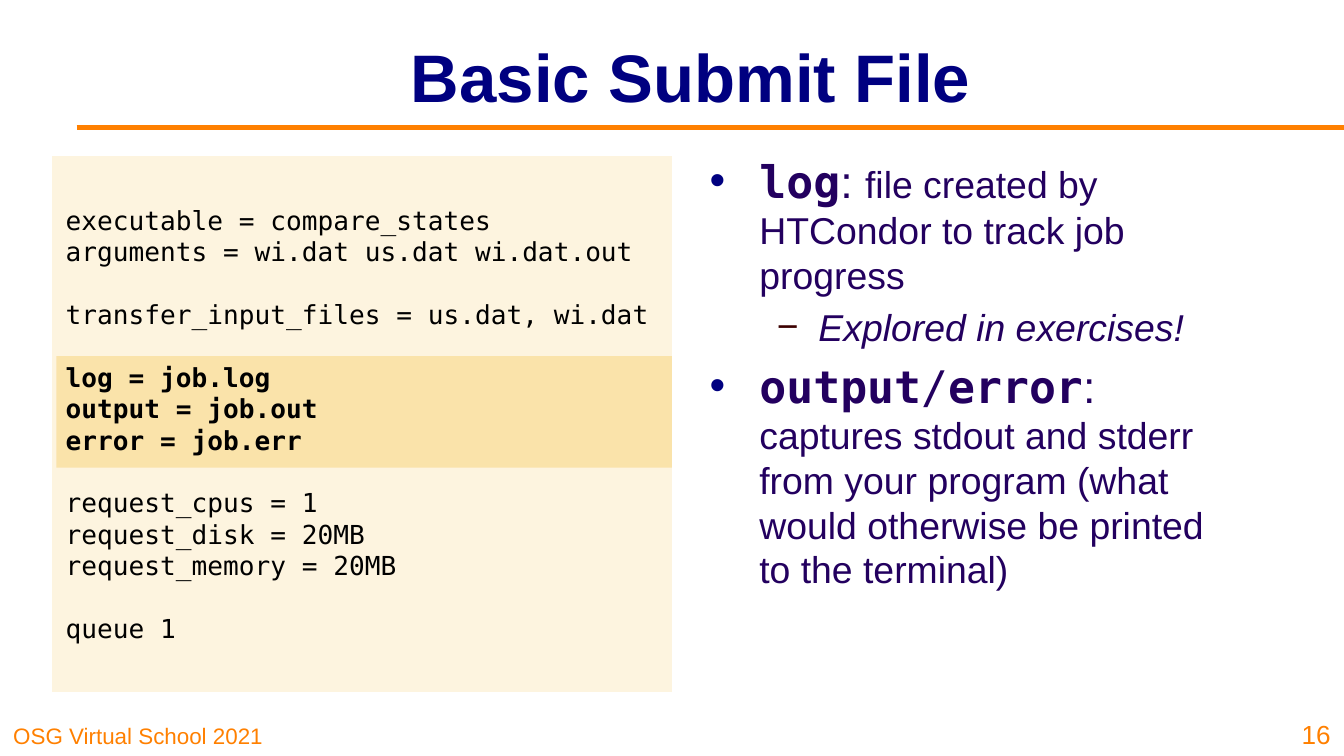
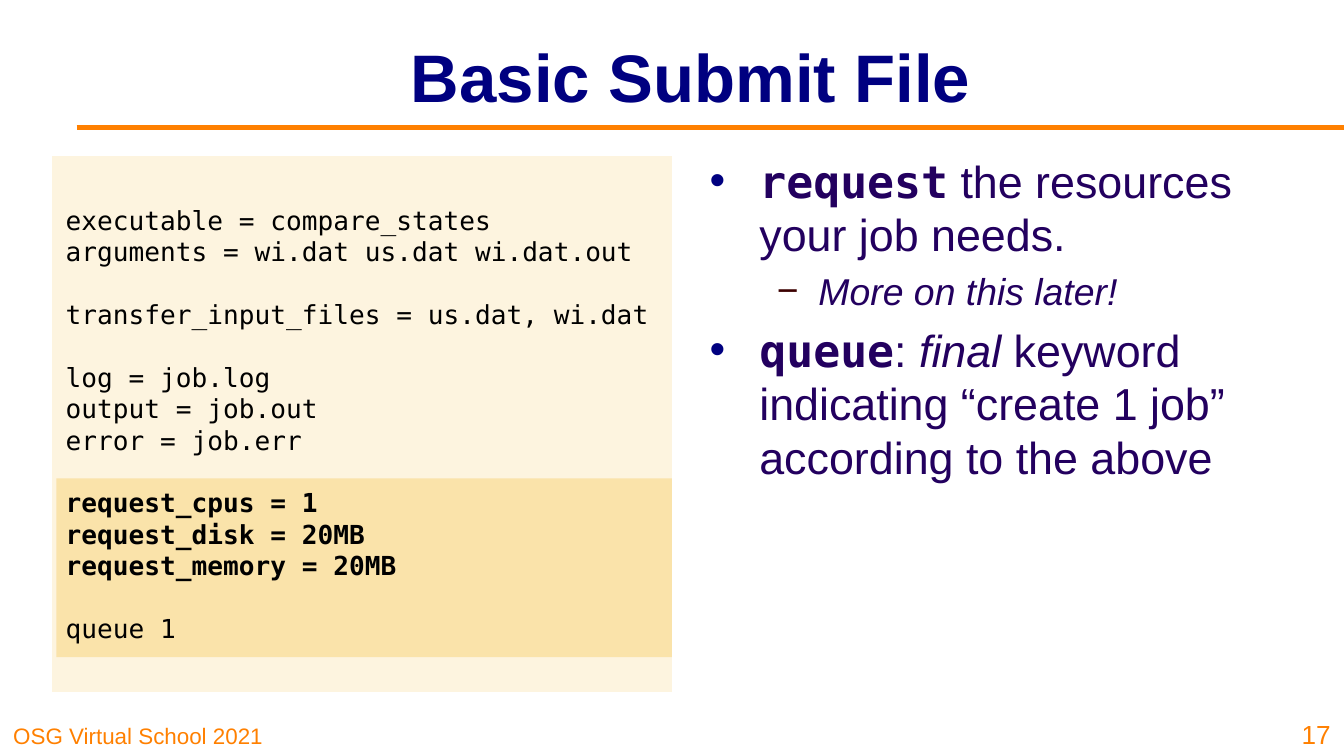
import lxml.etree
import pptx
import pptx.dml.color
import pptx.enum.shapes
import pptx.enum.text
import pptx.oxml.ns
import pptx.util

Inches = pptx.util.Inches
Pt = pptx.util.Pt
Align = pptx.enum.text.PP_ALIGN
Anchor = pptx.enum.text.MSO_ANCHOR

COLORS = {
    "navy": "000080",
    "orange": "FF8000",
    "text": "23005F",
    "dash": "3C0000",
    "code": "000000",
    "panel": "FDF4DF",
    "highlight": "FAE3AA",
}
SANS, MONO = "Arial", "DejaVu Sans Mono"

SLIDE_WIDTH = 10
SLIDE_HEIGHT = SLIDE_WIDTH * 9 / 16
TITLE_BOX = (1.34, 0.09, 7.6, 0.94)
BODY_BOX = (5.18, 1.09, 4.17, 3.84)
CODE_BOX = (0.39, 1.16, 4.61, 3.99)
FOOTER_BOX = (0, SLIDE_HEIGHT - 0.31, 2.48, 0.31)
NUMBER_BOX = (SLIDE_WIDTH - 0.46, SLIDE_HEIGHT - 0.38, 0.46, 0.38)

CODE_LINE = 16.8
KEYWORD_LINE = 28.8
LEVELS = [
    {"bullet": "•", "color": "navy", "left": 0.37, "hang": 0.37, "before": 5},
    {"bullet": "−", "color": "dash", "left": 0.81, "hang": 0.31, "before": 4},
]

KEYWORD = {"name": MONO, "size": Pt(24), "bold": True}
SLASH = {"name": MONO, "size": Pt(24)}
LARGE = {"size": Pt(24)}
LARGE_ITALIC = {"size": Pt(24), "italic": True}
SMALL = {"size": Pt(20)}
SMALL_ITALIC = {"size": Pt(20), "italic": True}

CODE_GROUPS = [
    ["executable = compare_states", "arguments = wi.dat us.dat wi.dat.out"],
    ["transfer_input_files = us.dat, wi.dat"],
    ["log = job.log", "output = job.out", "error = job.err"],
    ["request_cpus = 1", "request_disk = 20MB", "request_memory = 20MB"],
    ["queue 1"],
]

# Each body item: level, line height in points, runs
SLIDES = [
    {
        "number": 16,
        "bold_group": 2,
        "highlight": (1.49, 0.83),
        "items": [
            (0, 24, [("log", KEYWORD), (": ", LARGE),
                     ("file created by HTCondor to track job progress", SMALL)]),
            (1, 24, [("Explored in exercises!", SMALL_ITALIC)]),
            (0, 24, [("output", KEYWORD), ("/", SLASH), ("error", KEYWORD), (": ", LARGE),
                     ("captures stdout and stderr from your program (what would "
                      "otherwise be printed to the terminal)", SMALL)]),
        ],
    },
    {
        "number": 17,
        "bold_group": 3,
        "highlight": (2.4, 1.33),
        "items": [
            (0, KEYWORD_LINE, [("request", KEYWORD), (" the resources your job needs.", LARGE)]),
            (1, 24, [("More on this later!", SMALL_ITALIC)]),
            (0, KEYWORD_LINE, [("queue", KEYWORD), (": ", LARGE), ("final", LARGE_ITALIC),
                               (" keyword indicating “create 1 job” according to the above",
                                LARGE)]),
        ],
    },
]


def rgb(color):
    return pptx.dml.color.RGBColor.from_string(COLORS[color])


def lengths(box):
    return [Inches(value) for value in box]


def set_all(target, values):
    for name, value in values.items():
        setattr(target, name, value)


def add_run(para, text, color, **font):
    span = para.add_run()
    span.text = text
    set_all(span.font, {"name": SANS, "bold": False, "italic": False, **font})
    span.font.color.rgb = rgb(color)


def place(shape, box):
    set_all(shape, dict(zip(("left", "top", "width", "height"), lengths(box))))


def set_frame(shape, anchor):
    frame = shape.text_frame
    set_all(frame, {
        "word_wrap": True,
        "auto_size": pptx.enum.text.MSO_AUTO_SIZE.NONE,
        "vertical_anchor": anchor,
        "margin_left": Inches(0.1), "margin_right": Inches(0.1),
        "margin_top": Inches(0.05), "margin_bottom": Inches(0.05),
    })
    return frame


def fill_plain(shape, color):
    shape.shadow.inherit = False
    shape.fill.solid()
    shape.fill.fore_color.rgb = rgb(color)
    shape.line.fill.background()


def set_bullet(para, level):
    """Give the paragraph the hanging indent and bullet of its level."""
    style = LEVELS[level]
    para.level = level
    properties = para._p.get_or_add_pPr()
    properties.set("marL", str(Inches(style["left"])))
    properties.set("indent", str(-Inches(style["hang"])))
    qualified = pptx.oxml.ns.qn
    color = lxml.etree.SubElement(properties, qualified("a:buClr"))
    lxml.etree.SubElement(color, qualified("a:srgbClr"), val=COLORS[style["color"]])
    lxml.etree.SubElement(properties, qualified("a:buFont"), typeface=SANS)
    lxml.etree.SubElement(properties, qualified("a:buChar"), char=style["bullet"])


def add_title(page, text):
    title = page.shapes.title
    place(title, TITLE_BOX)
    para = set_frame(title, Anchor.MIDDLE).paragraphs[0]
    para.alignment = Align.CENTER
    add_run(para, text, "navy", size=Pt(36), bold=True)


def add_label(page, box, text, size, align):
    label = page.shapes.add_textbox(*lengths(box))
    para = set_frame(label, Anchor.BOTTOM).paragraphs[0]
    para.alignment = align
    add_run(para, text, "orange", size=Pt(size))


def add_frame_parts(page, number):
    """Add the rule below the title, the footer and the slide number."""
    rule = page.shapes.add_connector(
        pptx.enum.shapes.MSO_CONNECTOR.STRAIGHT, *lengths((0.57, 0.95, SLIDE_WIDTH, 0.95)))
    rule.line.color.rgb = rgb("orange")
    rule.line.width = Pt(3)
    lxml.etree.SubElement(rule._element.spPr, pptx.oxml.ns.qn("a:effectLst"))
    add_label(page, FOOTER_BOX, "OSG Virtual School 2021", 12, Align.LEFT)
    add_label(page, NUMBER_BOX, str(number), 14, Align.RIGHT)


def add_explanation(page, box, items):
    body = page.placeholders[1]
    place(body, box)
    frame = set_frame(body, Anchor.TOP)
    for index, (level, line, runs) in enumerate(items):
        para = frame.paragraphs[0] if index == 0 else frame.add_paragraph()
        set_bullet(para, level)
        # Keywords are taller than a tight line, so they need extra room above
        extra = KEYWORD_LINE - line if level == 0 else 0
        para.line_spacing = Pt(line)
        if index == 0:
            para.space_before = Pt(0)
            frame.margin_top = Inches(0.05) + Pt(extra)
        else:
            para.space_before = Pt(LEVELS[level]["before"] + extra)
        for text, font in runs:
            add_run(para, text, "text", **font)


def add_code_panel(page, box, highlight, bold_group):
    """Draw the listing; highlight holds the band's offset and height."""
    left, top, width, height = box
    outline = page.shapes.build_freeform(Inches(left), Inches(top))
    corners = [(left, top + height), (left + width, top + height), (left + width, top)]
    outline.add_line_segments([lengths(corner) for corner in corners], close=True)
    fill_plain(outline.convert_to_shape(), "panel")

    offset, band_height = highlight
    band_box = (left + 0.03, top + offset, width - 0.03, band_height)
    band = page.shapes.add_shape(
        pptx.enum.shapes.MSO_SHAPE.RECTANGLE, *lengths(band_box))
    fill_plain(band, "highlight")

    frame = set_frame(page.shapes.add_textbox(*lengths(box)), Anchor.MIDDLE)
    for group, lines in enumerate(CODE_GROUPS):
        for row, text in enumerate(lines):
            first = group == row == 0
            para = frame.paragraphs[0] if first else frame.add_paragraph()
            para.line_spacing = Pt(CODE_LINE)
            para.space_before = Pt(CODE_LINE if group and row == 0 else 0)
            add_run(para, text, "code", name=MONO, size=Pt(14), bold=group == bold_group)


def add_submit_slide(deck, content):
    page = deck.slides.add_slide(deck.slide_layouts[1])
    add_frame_parts(page, content["number"])
    add_title(page, "Basic Submit File")
    add_explanation(page, BODY_BOX, content["items"])
    add_code_panel(page, CODE_BOX, content["highlight"], content["bold_group"])


def main():
    deck = pptx.Presentation()
    set_all(deck, {"slide_width": Inches(SLIDE_WIDTH), "slide_height": Inches(SLIDE_HEIGHT)})
    for content in SLIDES:
        add_submit_slide(deck, content)
    deck.save("out.pptx")


if __name__ == "__main__":
    main()
